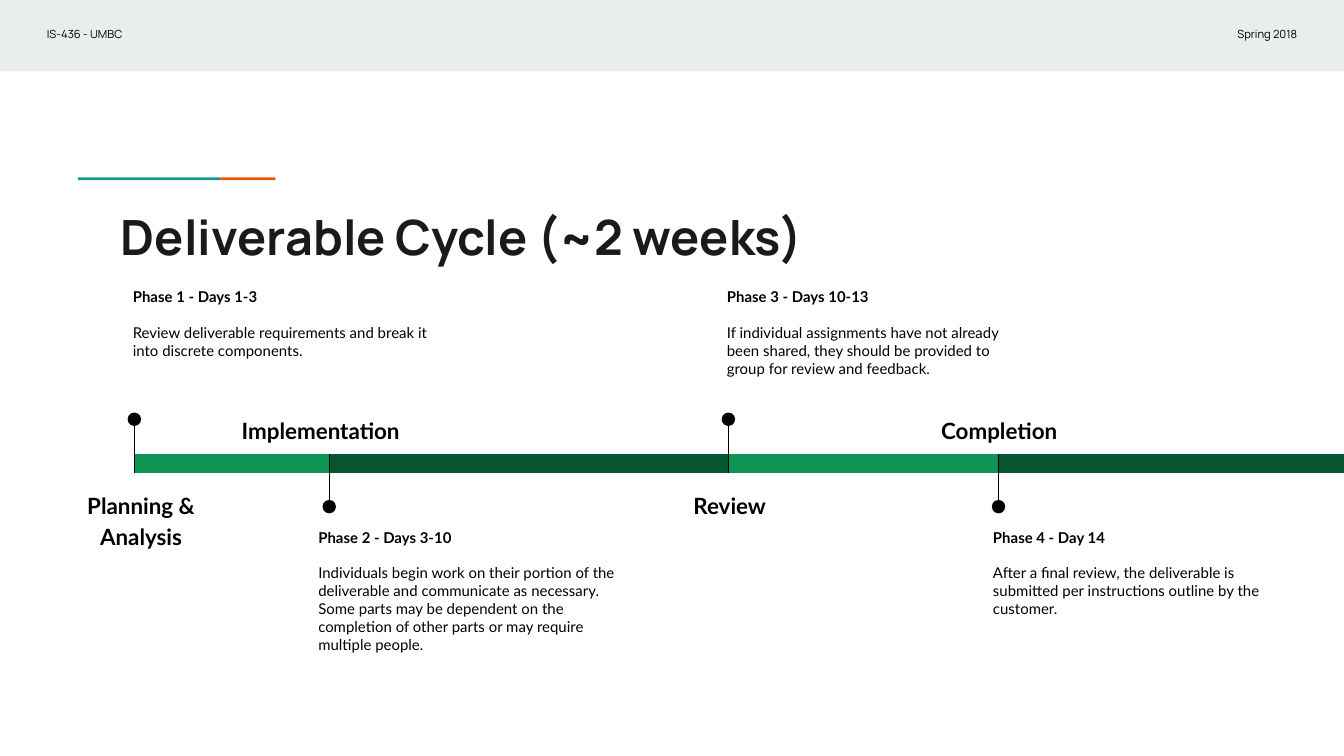
import pptx
import pptx.dml.color
import pptx.enum.shapes
import pptx.enum.text
import pptx.util
from lxml import etree

Inches = pptx.util.Inches
Pt = pptx.util.Pt
MSO_SHAPE = pptx.enum.shapes.MSO_SHAPE
ALIGN = pptx.enum.text.PP_ALIGN
ANCHOR = pptx.enum.text.MSO_ANCHOR


def color(value):
    return pptx.dml.color.RGBColor.from_string(value)


def add_run(paragraph, text, size, font_name, hex_color="000000", bold=False):
    run = paragraph.add_run()
    run.text = text
    run.font.size = Pt(size)
    run.font.name = font_name
    run.font.bold = bold
    run.font.color.rgb = color(hex_color)


# Widescreen slide, 16:9
presentation = pptx.Presentation()
presentation.slide_width = Inches(10)
presentation.slide_height = Inches(10 * 9 / 16)
slide = presentation.slides.add_slide(presentation.slide_layouts[5])

# Header band, title accent and timeline bars
LIGHT_GREEN, DARK_GREEN = "0E9453", "085631"
BAR_TOP, BAR_HEIGHT = 3.38, 0.14
rectangles = [
    (0, 0, 10, 0.53, "E9EDEE"),
    (0.58, 1.32, 1.06, 0.02, "1A9988"),
    (1.64, 1.32, 0.41, 0.02, "EB5600"),
]
bar_edges = [1, 2.45, 5.42, 7.43, 10]
for index, (left, right) in enumerate(zip(bar_edges, bar_edges[1:])):
    bar_color = DARK_GREEN if index % 2 else LIGHT_GREEN
    rectangles.append((left, BAR_TOP, right - left, BAR_HEIGHT, bar_color))
for left, top, width, height, fill in rectangles:
    shape = slide.shapes.add_shape(
        MSO_SHAPE.RECTANGLE, Inches(left), Inches(top), Inches(width), Inches(height))
    shape.shadow.inherit = False
    shape.fill.solid()
    shape.fill.fore_color.rgb = color(fill)
    shape.line.fill.background()

# Title
title = slide.shapes.title
title.left, title.top = Inches(0.8), Inches(1.44)
title.width, title.height = Inches(8.41), Inches(0.59)
title_frame = title.text_frame
title_frame.auto_size = pptx.enum.text.MSO_AUTO_SIZE.NONE
title_frame.vertical_anchor = ANCHOR.TOP
title_frame.margin_left = title_frame.margin_right = Inches(0.1)
title_frame.margin_top = title_frame.margin_bottom = Inches(0.1)
title_frame.paragraphs[0].alignment = ALIGN.LEFT
add_run(title_frame.paragraphs[0], "Deliverable Cycle (~2 weeks)", 26, "Manrope", "1A1A1A", True)


def add_text_box(left, top, width, height, alignment=ALIGN.LEFT, anchor=ANCHOR.TOP):
    text_box = slide.shapes.add_textbox(
        Inches(left), Inches(top), Inches(width), Inches(height))
    frame = text_box.text_frame
    frame.word_wrap = True
    frame.vertical_anchor = anchor
    frame.margin_left = frame.margin_right = Inches(0.1)
    frame.margin_top = frame.margin_bottom = Inches(0.1)
    frame.paragraphs[0].alignment = alignment
    return frame


# Header labels
for text, left, width, alignment in [
    ("IS-436 - UMBC", 0.25, 1.09, ALIGN.LEFT),
    ("Spring 2018", 8.98, 0.77, ALIGN.RIGHT),
]:
    frame = add_text_box(left, 0.08, width, 0.35, alignment, ANCHOR.MIDDLE)
    add_run(frame.paragraphs[0], text, 6, "Manrope")

# Phases: name, its left, width and alignment; heading, description, their left and width
phases = [
    ("Planning & Analysis", 0.53, 1.04, ALIGN.CENTER, "Phase 1 - Days 1-3",
     "Review deliverable requirements and break it into discrete components.", 0.89, 2.46),
    ("Implementation", 1.7, 2.19, ALIGN.LEFT, "Phase 2 - Days 3-10",
     "Individuals begin work on their portion of the deliverable and communicate as "
     "necessary. Some parts may be dependent on the completion of other parts or may "
     "require multiple people.", 2.27, 2.57),
    ("Review", 4.9, 1.06, ALIGN.CENTER, "Phase 3 - Days 10-13",
     "If individual assignments have not already been shared, they should be provided "
     "to group for review and feedback.", 5.31, 2.33),
    ("Completion", 6.75, 1.37, ALIGN.CENTER, "Phase 4 - Day 14",
     "After a final review, the deliverable is submitted per instructions outline by "
     "the customer.", 7.29, 2.46),
]
DOT_SIZE = 0.1
for index, (phase, marker_x) in enumerate(zip(phases, bar_edges)):
    name, name_left, name_width, alignment, heading, description, left, width = phase
    # Odd phases are described above the bar, even ones below it
    if index % 2 == 0:
        dot_y, line_end, name_top, text_top = 3.12, 3.52, 3.53, 2.04
    else:
        dot_y, line_end, name_top, text_top = 3.77, BAR_TOP, 2.97, 3.83

    # Marker
    connector = slide.shapes.add_connector(
        pptx.enum.shapes.MSO_CONNECTOR.STRAIGHT,
        Inches(marker_x), Inches(dot_y), Inches(marker_x), Inches(line_end))
    connector.line.color.rgb = color("000000")
    connector.line.width = Pt(0.75)
    etree.SubElement(
        connector._element.spPr,
        "{http://schemas.openxmlformats.org/drawingml/2006/main}effectLst")
    dot = slide.shapes.add_shape(
        MSO_SHAPE.OVAL, Inches(marker_x - DOT_SIZE / 2), Inches(dot_y - DOT_SIZE / 2),
        Inches(DOT_SIZE), Inches(DOT_SIZE))
    dot.shadow.inherit = False
    dot.fill.solid()
    dot.fill.fore_color.rgb = color("000000")
    dot.line.fill.background()

    # Phase name
    paragraph = add_text_box(name_left, name_top, name_width, 0.41, alignment).paragraphs[0]
    paragraph.line_spacing = 1.15
    add_run(paragraph, name, 12, "Lato", bold=True)

    # Phase description
    frame = add_text_box(left, text_top, width, 1.03)
    add_run(frame.paragraphs[0], heading, 8, "Lato", bold=True)
    paragraph = frame.add_paragraph()
    paragraph.space_before = Pt(9.6)
    add_run(paragraph, description, 8, "Lato")

presentation.save("out.pptx")
